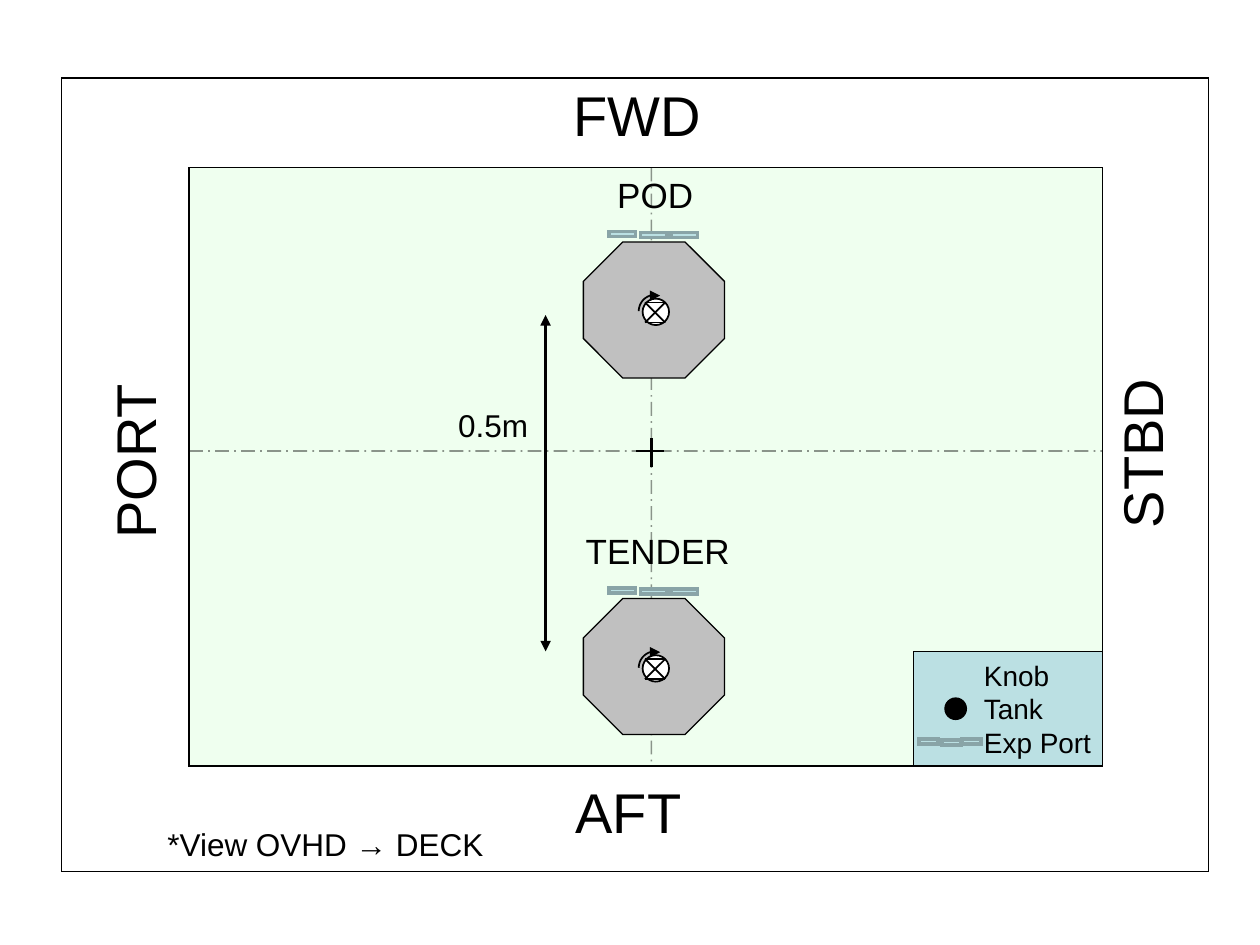
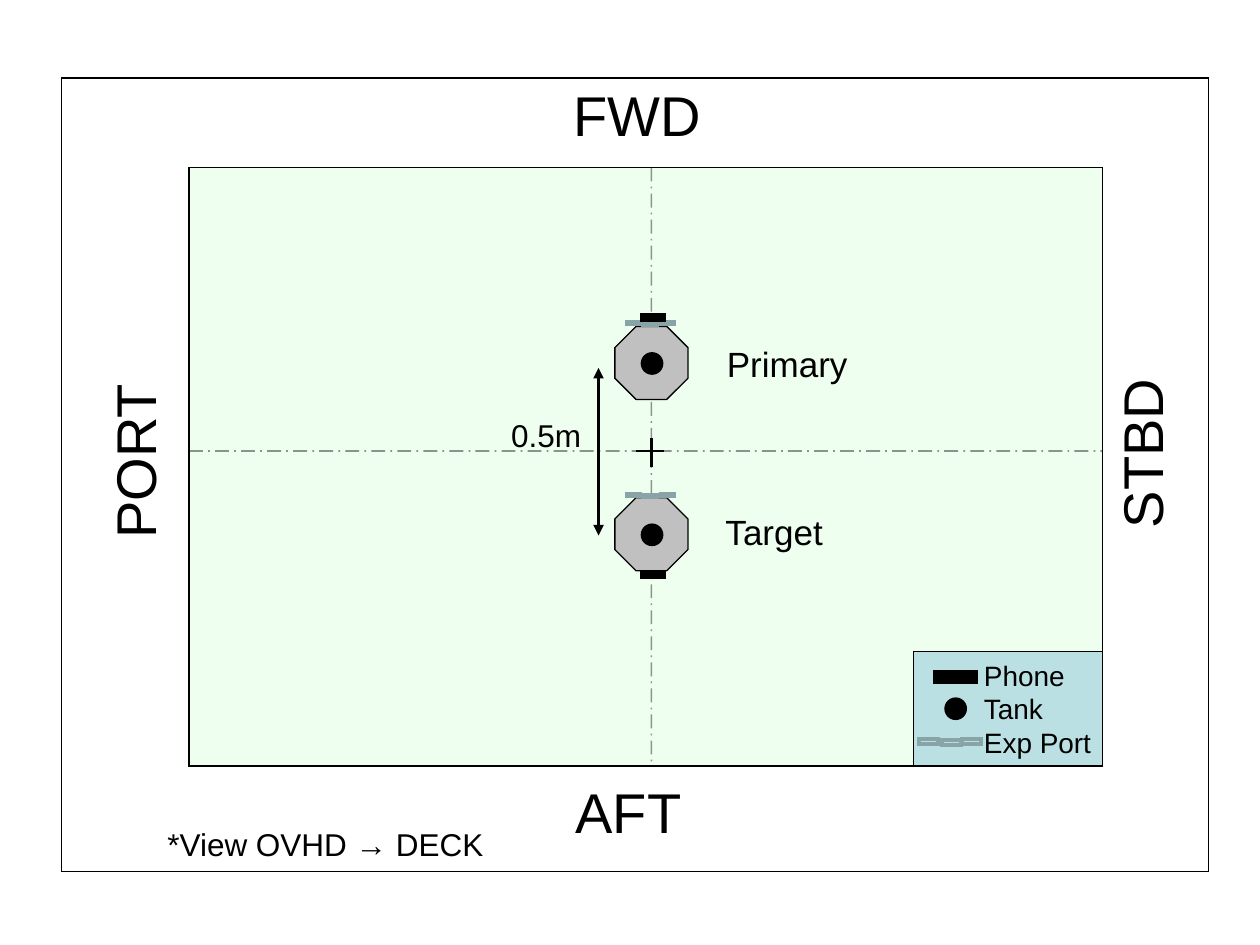
from math import cos, radians, sin

from pptx import Presentation
from pptx.dml.color import RGBColor
from pptx.enum.dml import MSO_LINE
from pptx.enum.shapes import MSO_CONNECTOR, MSO_SHAPE
from pptx.enum.text import MSO_ANCHOR, MSO_AUTO_SIZE, PP_ALIGN
from pptx.oxml.ns import qn
from pptx.util import Inches, Pt

BLACK = RGBColor(0x00, 0x00, 0x00)
WHITE = RGBColor(0xFF, 0xFF, 0xFF)
DECK_GREEN = RGBColor(0xCC, 0xFF, 0xCC)
TANK_GREY = RGBColor(0xC0, 0xC0, 0xC0)
PALE_BLUE = RGBColor(0xBB, 0xE0, 0xE3)
PORT_BLUE = RGBColor(0x89, 0xA4, 0xA7)
FONT = "Arial"
FILL_COLOUR = "./p:spPr/a:solidFill/a:srgbClr"
LINE_COLOUR = "./p:spPr/a:ln/a:solidFill/a:srgbClr"


class DeckPlan:
    """Holds the style and the slide being drawn."""

    def __init__(self, presentation):
        self.presentation = presentation

    def new_slide(self):
        self.slide = self.presentation.slides.add_slide(
            self.presentation.slide_layouts[6])
        self.shapes = self.slide.shapes

    # Basic elements
    def start_group(self):
        self.shapes = self.slide.shapes.add_group_shape().shapes

    def end_group(self):
        self.shapes = self.slide.shapes

    def set_opacity(self, shape, colour_path, percent):
        colour = shape._element.xpath(colour_path)[0]
        alpha = colour.makeelement(qn("a:alpha"), {"val": str(percent * 1000)})
        colour.append(alpha)

    def extend_line(self, shape, tag, **attributes):
        line = shape.line._get_or_add_ln()
        line.append(line.makeelement(qn(tag), attributes))

    def add_arrowheads(self, shape, ends):
        for end in ends:
            self.extend_line(shape, f"a:{end}", type="triangle")

    def box(self, kind, left, top, width, height, fill,
            line=BLACK, weight=0.75, rotation=0):
        shape = self.shapes.add_shape(kind, Inches(left), Inches(top),
                                      Inches(width), Inches(height))
        shape.shadow.inherit = False
        shape.fill.solid()
        shape.fill.fore_color.rgb = fill
        shape.line.color.rgb = line
        shape.line.width = Pt(weight)
        self.extend_line(shape, "a:miter", lim="800000")
        shape.rotation = rotation
        return shape

    def line(self, x1, y1, x2, y2, weight, dash=None, opacity=None, arrows=()):
        connector = self.shapes.add_connector(
            MSO_CONNECTOR.STRAIGHT, Inches(x1), Inches(y1), Inches(x2), Inches(y2))
        connector.line.color.rgb = BLACK
        connector.line.width = Pt(weight)
        if dash:
            connector.line.dash_style = dash
        if opacity:
            self.set_opacity(connector, LINE_COLOUR, opacity)
        self.add_arrowheads(connector, arrows)
        properties = connector._element.spPr
        properties.append(properties.makeelement(qn("a:effectLst"), {}))

    def run(self, paragraph, text, size):
        run = paragraph.add_run()
        run.text = text
        run.font.name = FONT
        run.font.size = Pt(size)
        run.font.color.rgb = BLACK

    def text(self, text, left, top, width, height, size,
             wrap=False, align=PP_ALIGN.LEFT, rotation=0):
        shape = self.shapes.add_textbox(Inches(left), Inches(top),
                                        Inches(width), Inches(height))
        shape.rotation = rotation
        frame = shape.text_frame
        frame.word_wrap = wrap
        frame.auto_size = MSO_AUTO_SIZE.SHAPE_TO_FIT_TEXT
        frame.paragraphs[0].alignment = align
        self.run(frame.paragraphs[0], text, size)

    # Parts of the plan
    def ports(self, places, thickness, length, rotation=270):
        for left, top in places:
            self.box(MSO_SHAPE.RECTANGLE, left, top, thickness, length,
                     PALE_BLUE, PORT_BLUE, 2, rotation)

    def phone(self, left, top, thickness, length):
        self.box(MSO_SHAPE.RECTANGLE, left, top, thickness, length,
                 BLACK, weight=2, rotation=90)

    def tank_dot(self, left, top):
        self.box(MSO_SHAPE.OVAL, left, top, 0.17, 0.17, BLACK)

    def octagon(self, left, top, width, height, rotation=0):
        shape = self.box(MSO_SHAPE.OCTAGON, left, top, width, height,
                         TANK_GREY, rotation=rotation)
        shape.adjustments[0] = 0.29

    def turn_arrow(self, centre_x, centre_y, radius):
        points = [(Inches(centre_x + radius * cos(radians(angle))),
                   Inches(centre_y + radius * sin(radians(angle))))
                  for angle in range(180, 289, 6)]
        builder = self.shapes.build_freeform(*points[0])
        builder.add_line_segments(points[1:], close=False)
        arc = builder.convert_to_shape()
        arc.shadow.inherit = False
        arc.fill.background()
        arc.line.color.rgb = BLACK
        arc.line.width = Pt(1)
        self.add_arrowheads(arc, ["tailEnd"])

    def knob_tank(self, top):
        self.start_group()
        self.octagon(4.63, top, 1.12, 1.08)
        self.ports(((4.92, top - 0.17), (5.41, top - 0.16), (5.17, top - 0.16)),
                   0.04, 0.21)
        self.box(MSO_SHAPE.OVAL, 5.1, top + 0.45, 0.21, 0.21, WHITE, weight=1)
        left, right, upper, lower = 5.12, 5.28, top + 0.48, top + 0.64
        for ends in ((left, upper, right, upper), (right, upper, left, lower),
                     (left, lower, right, lower), (left, upper, right, lower)):
            self.line(*ends, 1)
        self.turn_arrow(5.2, top + 0.55, 0.13)
        self.end_group()

    def phone_tank(self, top, phone_top):
        self.start_group()
        self.octagon(4.88, top, 0.58, 0.58, 270)
        self.ports(((5.02, top - 0.08), (5.29, top - 0.08), (5.15, top - 0.07)),
                   0.02, 0.11)
        self.phone(5.16, phone_top, 0.04, 0.18)
        self.tank_dot(5.09, top + 0.21)
        self.end_group()

    def deck(self):
        # Frame and deck area
        self.box(MSO_SHAPE.RECTANGLE, 0.49, 0.62, 9.1, 6.3, WHITE)
        area = self.box(MSO_SHAPE.RECTANGLE, 1.5, 1.33, 7.25, 4.75, DECK_GREEN)
        self.set_opacity(area, FILL_COLOUR, 30)
        # Directions
        for name, left, top, width, rotation in (
                ("FWD", 4.45, 0.59, 1.21, 0), ("AFT", 4.47, 6.12, 1.04, 0),
                ("PORT", 0.35, 3.34, 1.43, 270), ("STBD", 8.35, 3.26, 1.42, 270)):
            self.text(name, left, top, width, 0.64, 32, rotation=rotation)
        # Centre mark and centre lines
        self.start_group()
        self.line(5.17, 3.48, 5.17, 3.71, 1.5)
        self.line(5.05, 3.58, 5.27, 3.58, 1.5)
        self.end_group()
        self.text("*View OVHD → DECK", 1.23, 6.5, 2.93, 0.4, 18, wrap=True)
        for ends in ((1.5, 3.58, 8.75, 3.58), (5.17, 1.33, 5.17, 6.08)):
            self.line(*ends, 1, MSO_LINE.LONG_DASH_DOT, 41)

    def legend(self, first_entry):
        panel = self.box(MSO_SHAPE.RECTANGLE, 7.25, 5.17, 1.5, 0.91, PALE_BLUE)
        frame = panel.text_frame
        frame.word_wrap = False
        frame.vertical_anchor = MSO_ANCHOR.MIDDLE
        frame.margin_left = frame.margin_right = Inches(0.06)
        frame.margin_top = frame.margin_bottom = Inches(0.05)
        for index, entry in enumerate((first_entry, "Tank", "Exp Port")):
            paragraph = frame.add_paragraph() if index else frame.paragraphs[0]
            paragraph.level = 1
            paragraph.alignment = PP_ALIGN.LEFT
            properties = paragraph._p.get_or_add_pPr()
            properties.set("marL", str(Inches(0.5)))
            properties.set("indent", "0")
            self.run(paragraph, entry, 16)
        self.tank_dot(7.5, 5.54)
        self.start_group()
        self.ports(((7.69, 5.81), (7.35, 5.81), (7.53, 5.82)), 0.04, 0.15, 90)
        self.end_group()

    def distance(self, x, top, bottom, label_left, label_top):
        self.line(x, bottom, x, top, 2, arrows=("headEnd", "tailEnd"))
        self.text("0.5m", label_left, label_top, 1.33, 0.4, 18,
                  wrap=True, align=PP_ALIGN.CENTER)


def main():
    presentation = Presentation()
    presentation.slide_width = Inches(10)
    presentation.slide_height = Inches(7.5)
    plan = DeckPlan(presentation)

    # Slide 1: pod and tender with knobs
    plan.new_slide()
    plan.deck()
    plan.text("TENDER", 4.55, 4.15, 1.37, 0.44, 20)
    plan.legend("Knob")
    plan.distance(4.33, 2.5, 5.17, 3.25, 3.17)
    plan.text("POD", 4.8, 1.33, 0.8, 0.44, 20)
    for top in (1.92, 4.75):
        plan.knob_tank(top)

    # Slide 2: primary and target with phones
    plan.new_slide()
    plan.deck()
    plan.text("Target", 5.66, 4, 1, 0.44, 20)
    plan.legend("Phone")
    plan.distance(4.75, 2.92, 4.25, 3.67, 3.25)
    plan.text("Primary", 5.67, 2.67, 1.16, 0.44, 20)
    for top, phone_top in ((2.59, 2.43), (3.95, 4.47)):
        plan.phone_tank(top, phone_top)
    plan.phone(7.54, 5.21, 0.08, 0.33)

    presentation.save("out.pptx")


if __name__ == "__main__":
    main()
